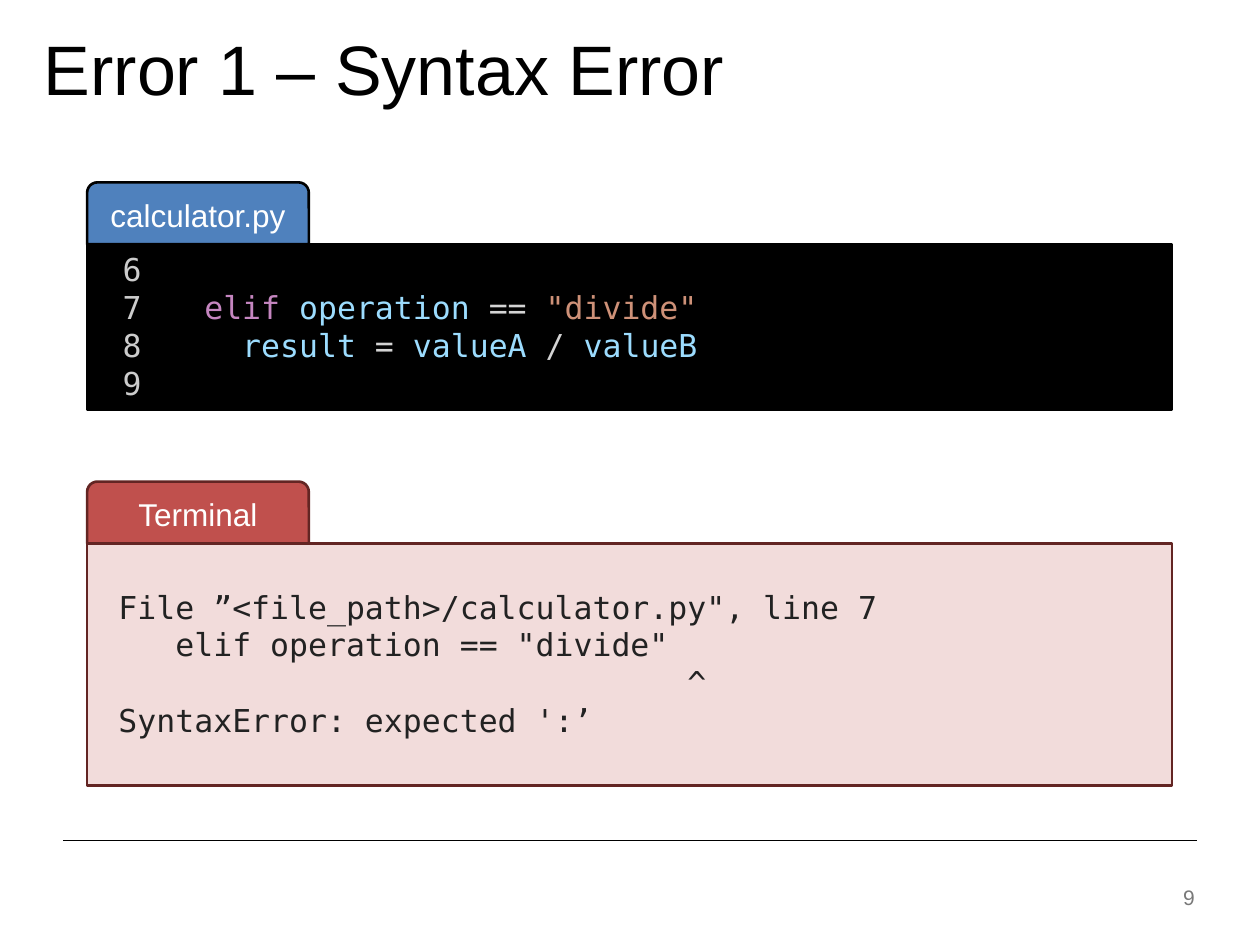
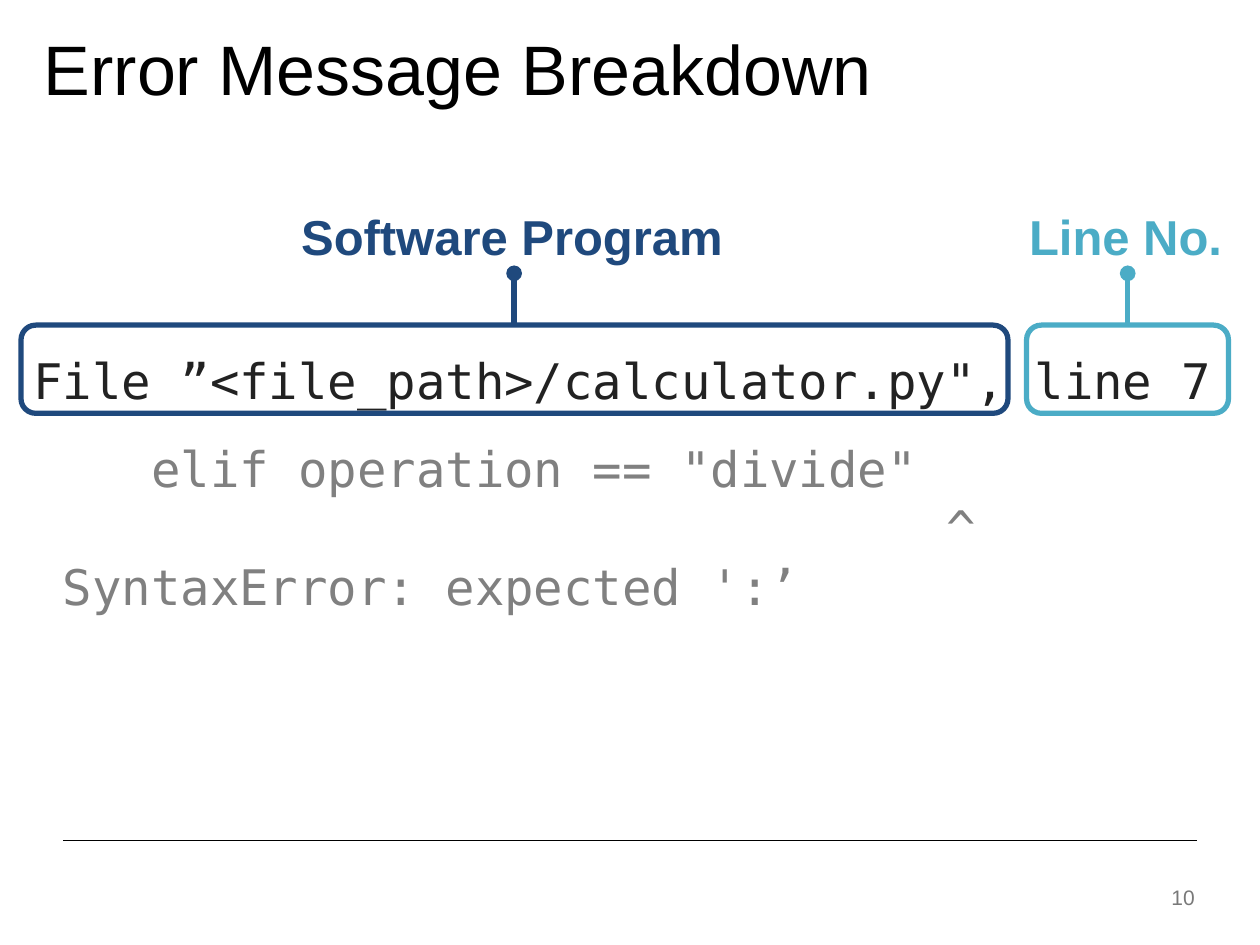
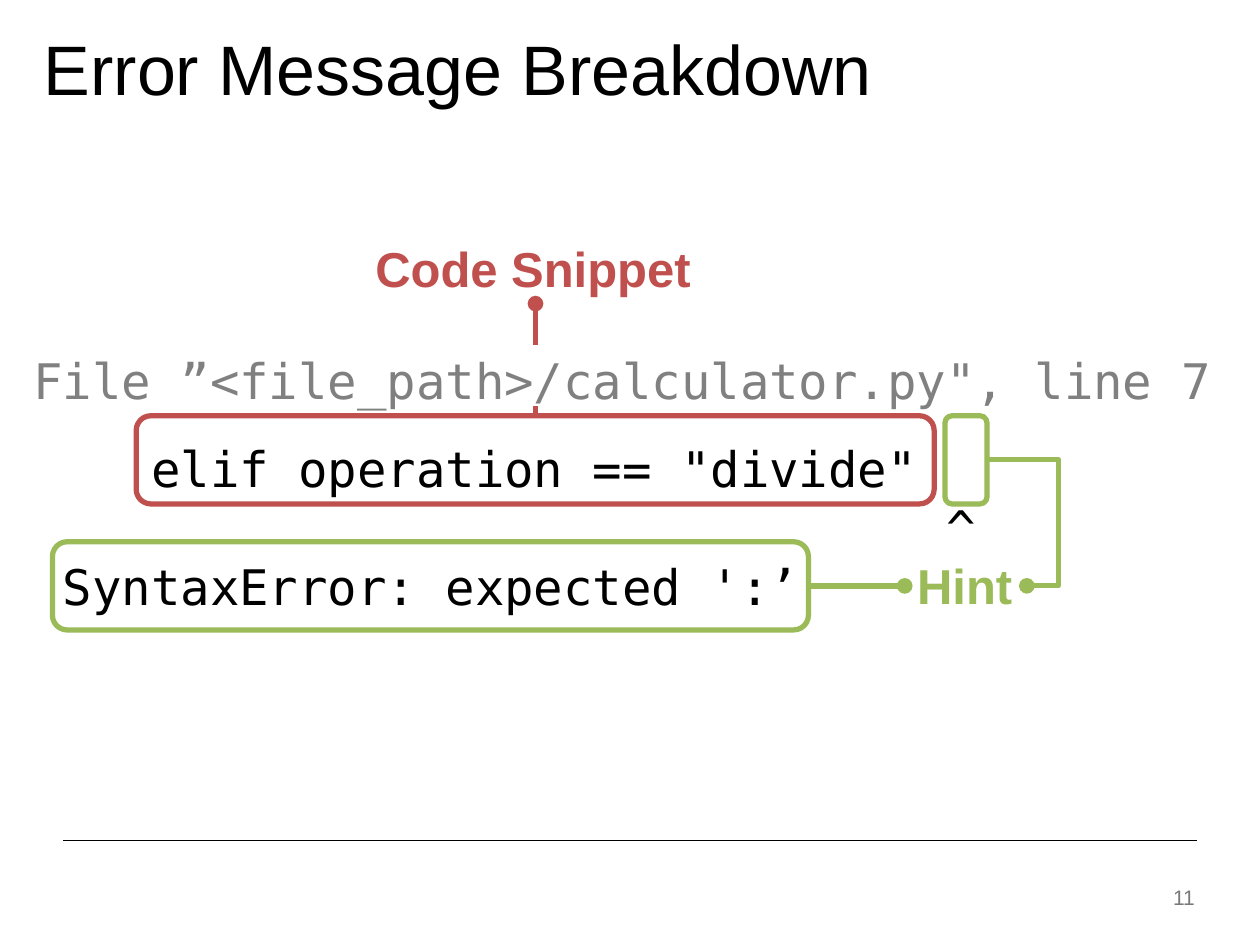
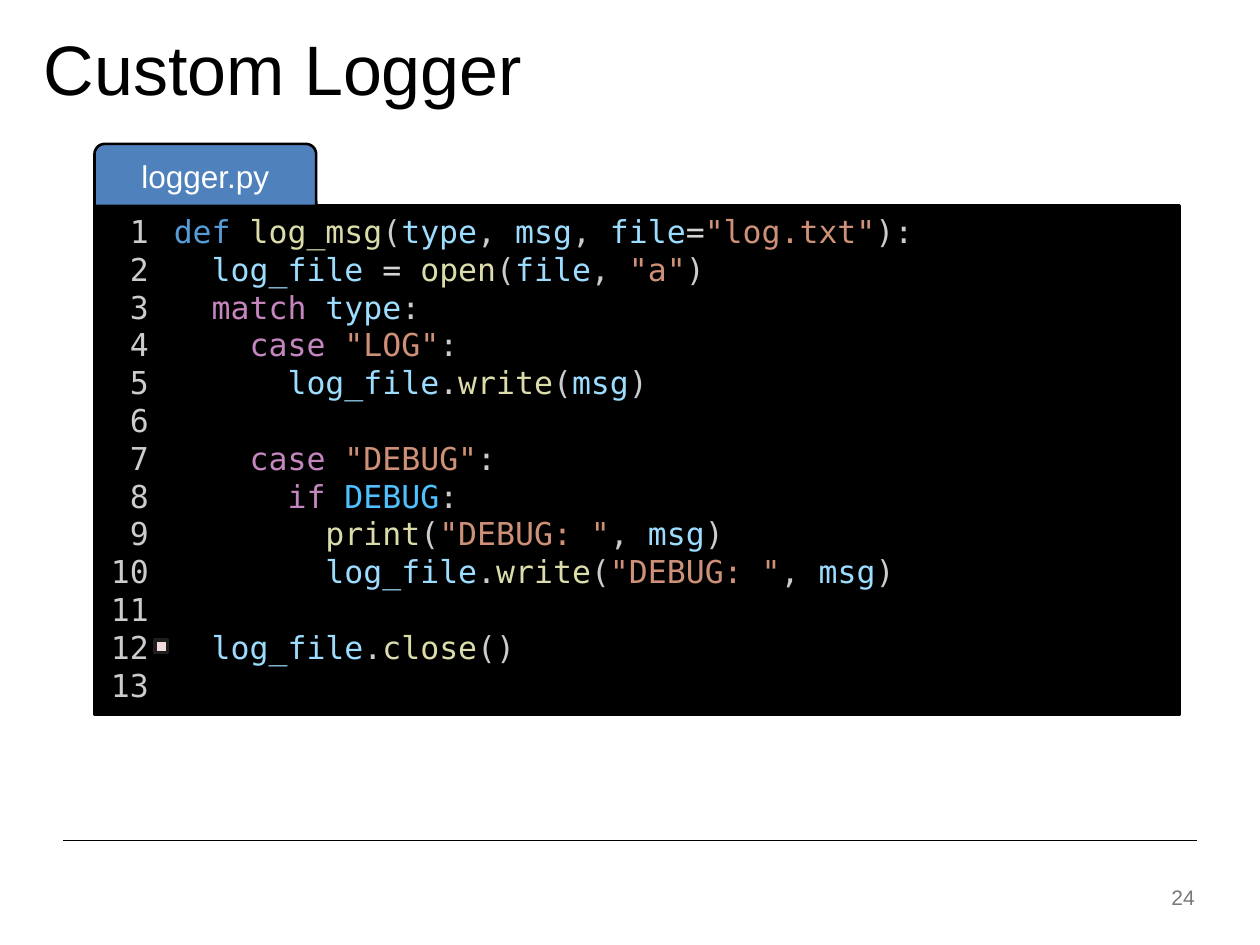
from dataclasses import dataclass

from lxml import etree
from pptx import Presentation
from pptx.dml.color import RGBColor
from pptx.enum import shapes as kinds, text as layout
from pptx.oxml import ns
from pptx.util import Pt


@dataclass(frozen=True)
class Theme:
    sans: str = "Arial"
    mono: str = "DejaVu Sans Mono"
    title_size: int = 40
    callout_size: int = 28
    code_size: int = 18
    page_size: int = 12
    black: str = "000000"
    white: str = "FFFFFF"
    dark: str = "222222"
    muted: str = "808080"
    page: str = "797979"
    blue: str = "4F81BD"
    navy: str = "1F497D"
    teal: str = "4BACC6"
    red: str = "C0504D"
    green: str = "9BBB59"
    maroon: str = "632523"
    blush: str = "F2DCDB"
    marker: str = "1F1F1F"
    # Syntax colours
    plain: str = "CCCCCC"
    operator: str = "D4D4D4"
    control: str = "C586C0"
    define: str = "569CD6"
    name: str = "9CDCFE"
    call: str = "DCDCAA"
    string: str = "CE9178"
    constant: str = "4FC1FF"


T = Theme()
MIDDLE, TOP = layout.MSO_ANCHOR.MIDDLE, layout.MSO_ANCHOR.TOP
LEFT, CENTER, RIGHT = layout.PP_ALIGN.LEFT, layout.PP_ALIGN.CENTER, layout.PP_ALIGN.RIGHT
RECT = kinds.MSO_SHAPE.RECTANGLE
ROUNDED = kinds.MSO_SHAPE.ROUNDED_RECTANGLE
TAB = kinds.MSO_SHAPE.ROUND_2_SAME_RECTANGLE

# Each code line is a list of (colour, text); an empty list is a blank line.
CALCULATOR = [
    [],
    [(T.control, "  elif "), (T.name, "operation "), (T.operator, "== "), (T.string, '"divide"')],
    [(T.name, "    result "), (T.operator, "= "), (T.name, "valueA "), (T.operator, "/ "),
     (T.name, "valueB")],
    [],
]
LOGGER = [
    [(T.define, "def "), (T.call, "log_msg"), (T.plain, "("), (T.name, "type"), (T.plain, ", "),
     (T.name, "msg"), (T.plain, ", "), (T.name, "file"), (T.operator, "="),
     (T.string, '"log.txt"'), (T.plain, "):")],
    [(T.name, "  log_file "), (T.operator, "= "), (T.call, "open"), (T.plain, "("),
     (T.name, "file"), (T.plain, ", "), (T.string, '"a"'), (T.plain, ")")],
    [(T.control, "  match "), (T.name, "type"), (T.plain, ":")],
    [(T.control, "    case "), (T.string, '"LOG"'), (T.plain, ":")],
    [(T.name, "      log_file"), (T.plain, "."), (T.call, "write"), (T.plain, "("),
     (T.name, "msg"), (T.plain, ")")],
    [],
    [(T.control, "    case "), (T.string, '"DEBUG"'), (T.plain, ":")],
    [(T.control, "      if "), (T.constant, "DEBUG"), (T.plain, ":")],
    [(T.call, "        print"), (T.plain, "("), (T.string, '"DEBUG: "'), (T.plain, ", "),
     (T.name, "msg"), (T.plain, ")")],
    [(T.name, "        log_file"), (T.plain, "."), (T.call, "write"), (T.plain, "("),
     (T.string, '"DEBUG: "'), (T.plain, ", "), (T.name, "msg"), (T.plain, ")")],
    [],
    [(T.name, "  log_file"), (T.plain, "."), (T.call, "close"), (T.plain, "()")],
    [],
]
MESSAGE = [
    'File ”<file_path>/calculator.py", line 7',
    '    elif operation == "divide"',
    "                               ^",
    " SyntaxError: expected ':’",
]

# Label, colour, label box, stem (x, top, bottom)
PROGRAM = ("Software Program", T.navy, (165, 114.5, 258.5, 41), (293.8, 156.2, 185.8))
LINE_NUMBER = ("Line No.", T.teal, (581, 114.5, 126, 41), (644.4, 156.2, 185.8))
SNIPPET = ("Code Snippet", T.red, (207.4, 132.5, 197.3, 41), (306, 173.5, 237.6))
HINT = ("Hint", T.green, (517, 313.9, 69.8, 41))

# Lengths in points
LINE_HEIGHT = 21.6
INSET = 3.6
NUMBER_WIDTH, PANEL_WIDTH = 38.2, 620
TAB_WIDTH, TAB_HEIGHT = 126.7, 35.4
FRAME_HEIGHT = 50.4


def color(code):
    return RGBColor.from_string(code)


def add_box(target, kind, frame, fill=None, line=None, weight=1.5):
    box = target.add_shape(kind, *map(Pt, frame))
    box.shadow.inherit = False
    if fill:
        box.fill.solid()
        box.fill.fore_color.rgb = color(fill)
    else:
        box.fill.background()
    box.line.color.rgb = color(line)
    box.line.width = Pt(weight)
    return box


def write(box, lines, font, size, align=LEFT, anchor=TOP, wrap=True, spacing=(), bold=False):
    """Fill a box with lines of (colour, text); blank lines become space above the next one."""
    frame = box.text_frame
    frame.word_wrap = wrap
    frame.vertical_anchor = anchor
    frame.margin_left = frame.margin_right = Pt(7.2)
    frame.margin_top = frame.margin_bottom = Pt(INSET)
    gap, started = 0, False
    for index, line in enumerate(lines):
        if not line:
            gap += LINE_HEIGHT
            continue
        para = frame.add_paragraph() if started else frame.paragraphs[0]
        if gap and started:
            para.space_before = Pt(gap)
        elif gap:
            frame.margin_top = Pt(INSET + gap)
        gap, started = 0, True
        para.alignment = align
        if index < len(spacing):
            para.line_spacing = spacing[index]
        para.font.name, para.font.size, para.font.bold = font, Pt(size), bold
        if len(line) == 1:
            para.font.color.rgb = color(line[0][0])
        for code, words in line:
            span = para.add_run()
            span.text = words
            if len(line) > 1:
                span.font.color.rgb = color(code)


def add_text(page, frame, lines, font, size, **options):
    write(page.shapes.add_textbox(*map(Pt, frame)), lines, font, size, **options)


def add_line(page, start, end, code, weight=3, head=False, tail=False, bend=None):
    """Draw a connector with optional oval ends; bend is the elbow's place along its width."""
    kind = kinds.MSO_CONNECTOR.STRAIGHT if bend is None else kinds.MSO_CONNECTOR.ELBOW
    line = page.shapes.add_connector(kind, *map(Pt, start + end))
    line.line.color.rgb = color(code)
    line.line.width = Pt(weight)
    properties = line._element.spPr
    etree.SubElement(properties, ns.qn("a:effectLst"))
    outline = properties.find(ns.qn("a:ln"))
    for wanted, tag in ((head, "a:headEnd"), (tail, "a:tailEnd")):
        if wanted:
            etree.SubElement(outline, ns.qn(tag), type="oval")
    if bend is not None:
        guides = properties.find(ns.qn("a:prstGeom")).find(ns.qn("a:avLst"))
        etree.SubElement(guides, ns.qn("a:gd"), name="adj1", fmla=f"val {round(bend * 100000)}")


def add_page(deck, title, number):
    """Add a slide with the shared title, footer rule and page number below the rule."""
    page = deck.slides.add_slide(deck.slide_layouts[6])
    add_line(page, (36, 480), (684, 480), T.black, 0.5)
    add_text(page, (18, 10.8, 606, 55.4), [[(T.black, title)]], T.sans, T.title_size)
    add_text(page, (527.8, 498.2, 162, 28.8), [[(T.page, str(number))]], T.sans,
             T.page_size, align=RIGHT, anchor=MIDDLE)
    return page


def add_tab(target, left, body_top, name, fill, line):
    tab = add_box(target, TAB, (left, body_top - TAB_HEIGHT, TAB_WIDTH, TAB_HEIGHT), fill, line)
    write(tab, [[(T.white, name)]], T.sans, T.code_size, CENTER, MIDDLE)


def add_editor(page, left, top, name, code, first):
    """Draw a named code panel with line numbers counted from first."""
    target = page.shapes.add_group_shape().shapes
    height = 21.84 * len(code) + 2 * INSET
    body = add_box(target, RECT, (left + NUMBER_WIDTH, top, PANEL_WIDTH - NUMBER_WIDTH, height),
                   T.black, T.black)
    write(body, code, T.mono, T.code_size)
    gutter = add_box(target, RECT, (left, top, NUMBER_WIDTH, height), T.black, T.black)
    numbers = [[(T.plain, str(first + row))] for row in range(len(code))]
    write(gutter, numbers, T.mono, T.code_size, RIGHT)
    add_tab(target, left, top, name, T.blue, T.black)


def add_terminal(page, left, top):
    target = page.shapes.add_group_shape().shapes
    body = add_box(target, RECT, (left, top, PANEL_WIDTH, 138.2), T.blush, T.maroon)
    lines = [" " + MESSAGE[0]] + MESSAGE[1:]
    write(body, [[]] + [[(T.dark, line)] for line in lines], T.mono, T.code_size)
    add_tab(target, left, top, "Terminal", T.red, T.maroon)


def add_message(page, first_color, rest_color):
    colors = [first_color] + [rest_color] * (len(MESSAGE) - 1)
    add_text(page, (12, 180, 696, 177), [[pair] for pair in zip(colors, MESSAGE)],
             T.mono, T.callout_size, spacing=(1.5, 1.5))


def add_label(page, words, code, frame):
    add_text(page, frame, [[(code, words)]], T.sans, T.callout_size, wrap=False, bold=True)


def add_callout(page, words, code, frame, stem):
    add_label(page, words, code, frame)
    x, top, bottom = stem
    add_line(page, (x, top), (x, bottom), code, head=True)


def add_highlight(page, left, top, width, code):
    add_box(page.shapes, ROUNDED, (left, top, width, FRAME_HEIGHT), None, code, 3)


def main():
    deck = Presentation()
    deck.slide_width, deck.slide_height = Pt(720), Pt(540)

    page = add_page(deck, "Error 1 – Syntax Error", 9)
    add_editor(page, 49.8, 139.6, "calculator.py", CALCULATOR, 6)
    add_terminal(page, 49.8, 310.6)

    page = add_page(deck, "Error Message Breakdown", 10)
    add_message(page, T.dark, T.muted)
    add_highlight(page, 12, 185.8, 564, T.navy)
    add_highlight(page, 586.6, 185.8, 115.4, T.teal)
    for callout in (PROGRAM, LINE_NUMBER):
        add_callout(page, *callout)

    page = add_page(deck, "Error Message Breakdown", 11)
    add_callout(page, *SNIPPET)
    add_box(page.shapes, RECT, (275.8, 198, 72, 33), T.white, T.white, 2)
    add_message(page, T.muted, T.black)
    add_label(page, *HINT)
    add_highlight(page, 77.8, 237.6, 456, T.red)
    add_highlight(page, 540, 237.6, 24, T.green)
    add_highlight(page, 30, 309.6, 432, T.green)
    add_line(page, (517, 334.8), (462, 334.8), T.green, head=True)
    add_line(page, (564, 262.8), (586.8, 334.8), T.green, tail=True, bend=1.79)

    page = add_page(deck, "Custom Logger", 24)
    add_editor(page, 54, 117.6, "logger.py", LOGGER, 1)
    add_box(page.shapes, RECT, (88.6, 365.8, 7.2, 7.2), T.blush, T.marker, 2)

    deck.save("out.pptx")


if __name__ == "__main__":
    main()
